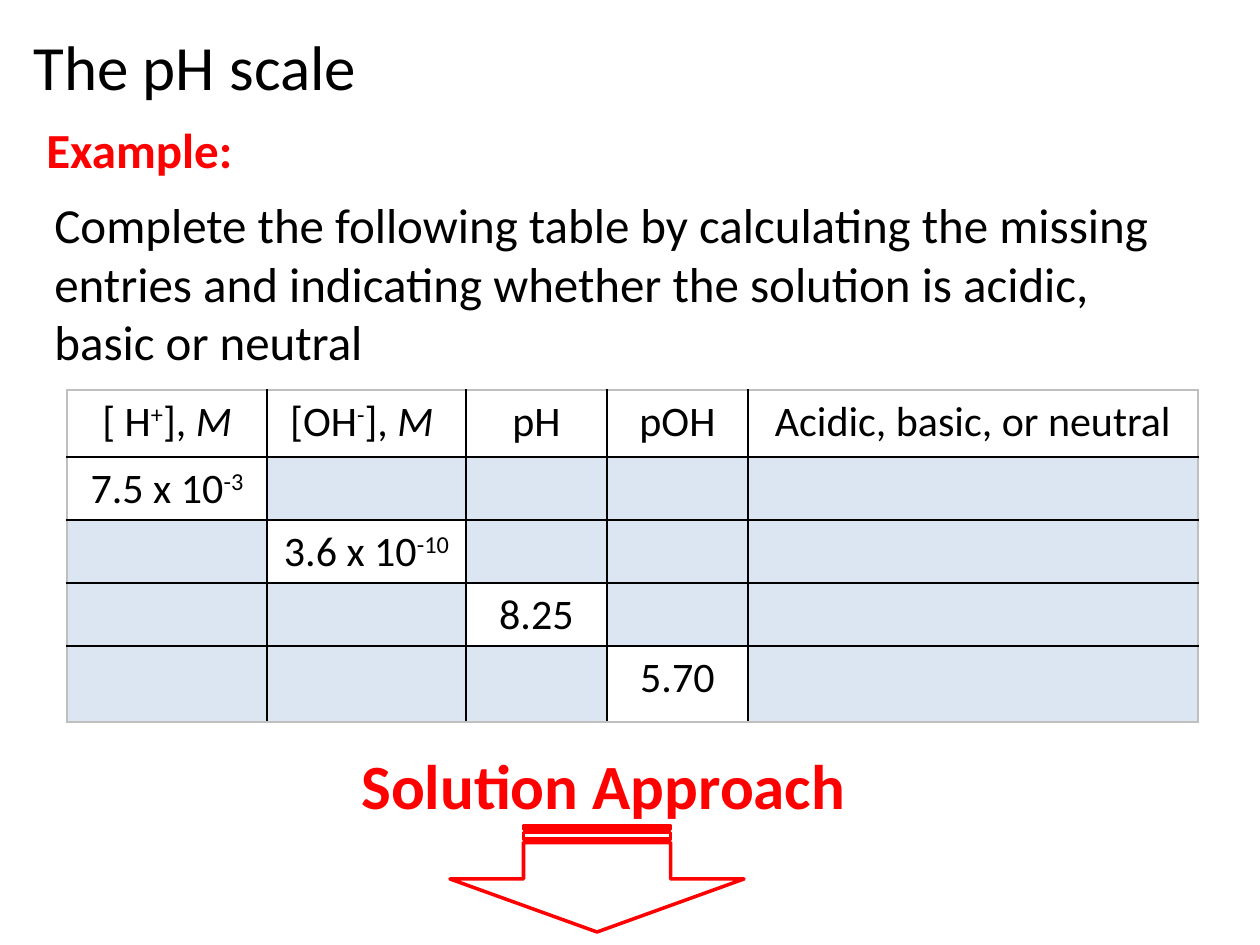
"""Builds the pH scale exercise slide with its table of missing entries."""
from lxml.etree import SubElement
from pptx import Presentation
from pptx.dml.color import RGBColor
from pptx.enum.shapes import MSO_SHAPE
from pptx.enum.text import MSO_ANCHOR, MSO_AUTO_SIZE, PP_ALIGN
from pptx.oxml.ns import qn
from pptx.util import Pt

RED, BLACK, WHITE, BLUE, GREY = "FF0000", "000000", "FFFFFF", "DCE6F2", "BFBFBF"
FONT = "Calibri"
TITLE = ("The pH scale", (21, 21, 352, 89), 36, BLACK, False, PP_ALIGN.LEFT)
TEXTS = [
    ("Example:", (34, 113, 213, 72), 28, RED, True, PP_ALIGN.LEFT),
    ("Solution Approach", (346, 740, 515, 89), 36, RED, True, PP_ALIGN.CENTER),
    ("Complete the following table by calculating the missing\n"
     "entries and indicating whether the solution is acidic,\n"
     "basic or neutral", (42, 188, 1142, 190), 28, BLACK, False, PP_ALIGN.LEFT),
]
ARROW = (544, 732, 106, 294)
TABLE_AT = (67, 390)
COLS = [200, 199, 141, 141, 450]
ROWS = [67, 63, 63, 63, 76]
HEADER = [
    [("[ H", ""), ("+", "sup"), ("], ", ""), ("M", "italic")],
    [("[OH", ""), ("-", "sup"), ("], ", ""), ("M ", "italic")],
    [("pH", "")],
    [("pOH", "")],
    [("Acidic, basic, or neutral", "")],
]
GIVEN = [
    [("7.5 x 10", ""), ("-3", "sup")],
    [("3.6 x 10", ""), ("-10", "sup")],
    [("8.25", "")],
    [("5.70", "")],
]


def px(n):
    return round(n * 914400 / 126)


def rgb(color):
    return RGBColor.from_string(color)


def style(p, size, color, bold, align):
    p.alignment = align
    f = p.font
    f.name, f.size, f.bold = FONT, Pt(size), bold
    f.color.rgb = rgb(color)


def write(sp, text, box, size, color, bold, align):
    sp.left, sp.top, sp.width, sp.height = map(px, box)
    tf = sp.text_frame
    tf.text = text
    tf.word_wrap = False
    tf.auto_size = MSO_AUTO_SIZE.SHAPE_TO_FIT_TEXT
    tf.vertical_anchor = MSO_ANCHOR.TOP
    for p in tf.paragraphs:
        style(p, size, color, bold, align)


def border(cell, side, color):
    ln = SubElement(cell._tc.get_or_add_tcPr(), qn("a:ln" + side), w=str(Pt(1)))
    SubElement(SubElement(ln, qn("a:solidFill")), qn("a:srgbClr"), val=color)


def fill_cell(cell, runs):
    p = cell.text_frame.paragraphs[0]
    style(p, 24, BLACK, False, PP_ALIGN.CENTER)
    for text, kind in runs:
        r = p.add_run()
        r.text = text
        if kind == "italic":
            r.font.italic = True
        elif kind == "sup":
            r._r.get_or_add_rPr().set("baseline", "30000")


def add_grid(s):
    size = px(sum(COLS)), px(sum(ROWS))
    table = s.shapes.add_table(len(ROWS), len(COLS), *map(px, TABLE_AT), *size).table
    table.first_row = table.horz_banding = False
    for col, w in zip(table.columns, COLS):
        col.width = px(w)
    for row, h in zip(table.rows, ROWS):
        row.height = px(h)
    for i in range(len(ROWS)):
        for j in range(len(COLS)):
            cell = table.cell(i, j)
            outer = {"L": j == 0, "R": j == len(COLS) - 1,
                     "T": i == 0, "B": i == len(ROWS) - 1}
            for side, edge in outer.items():
                border(cell, side, GREY if edge else BLACK)
            runs = HEADER[j] if i == 0 else GIVEN[j] if i == j + 1 else []
            cell.fill.solid()
            cell.fill.fore_color.rgb = rgb(WHITE if runs else BLUE)
            fill_cell(cell, runs)


def add_arrow(s):
    sp = s.shapes.add_shape(MSO_SHAPE.STRIPED_RIGHT_ARROW, *map(px, ARROW))
    sp.rotation = 90
    sp.shadow.inherit = False
    sp.fill.background()
    sp.line.color.rgb = rgb(RED)
    sp.line.width = Pt(2)


def main():
    prs = Presentation()
    prs.slide_width, prs.slide_height = px(1260), px(945)
    s = prs.slides.add_slide(prs.slide_layouts[5])
    write(s.shapes.title, *TITLE)
    for item in TEXTS:
        write(s.shapes.add_textbox(0, 0, 0, 0), *item)
    add_arrow(s)
    add_grid(s)
    prs.save("out.pptx")


if __name__ == "__main__":
    main()
